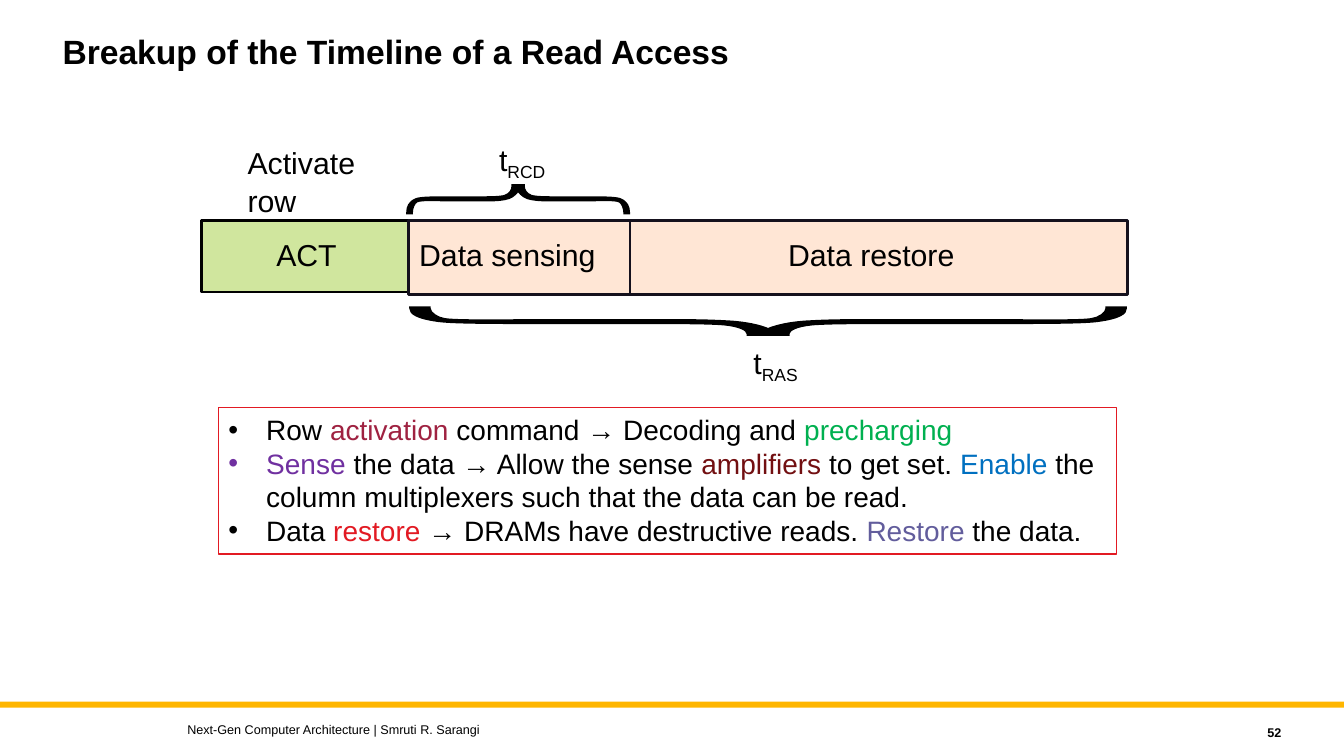
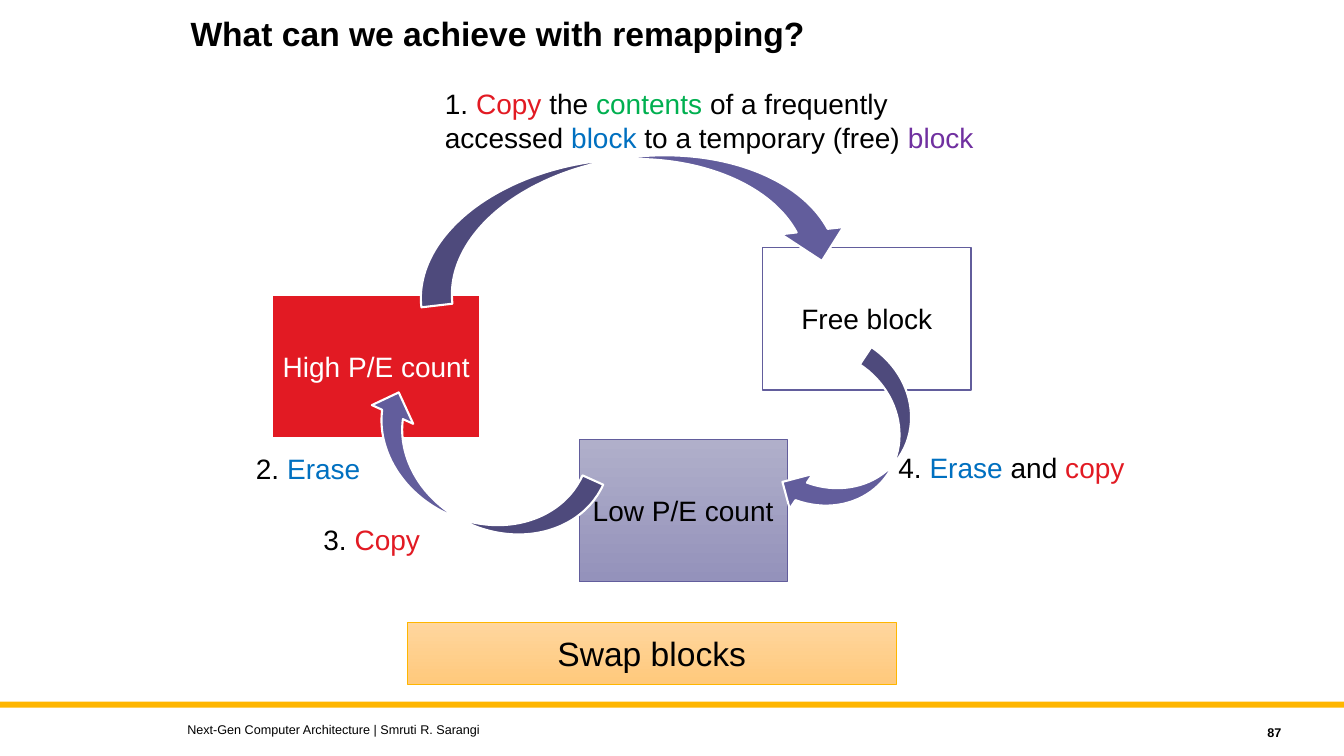
from lxml import etree
from pptx import Presentation, util as u
from pptx.dml.color import RGBColor
from pptx.enum import shapes, text
from pptx.oxml.ns import qn

UNIT = u.Inches(0.1)
COLUMNS, ROWS = 133.33, 75
FONT = "Arial"
BLACK, WHITE, GOLD, RED = "000000", "FFFFFF", "FFB600", "E21A23"
GREEN, BLUE, PURPLE, VIOLET = "00B050", "0070C0", "7030A0", "625D9C"
CRIMSON, MAROON = "9F2241", "720F11"
PEACH, LIME, INK = "FFE6D5", "D0E69E", "15111D"
FOOTER = "Next-Gen Computer Architecture | Smruti R. Sarangi"
LABEL_SIZE, BODY_SIZE = 21.6, 20

HALF_BRACE = [
    [(.5, 1)], [(.47, 1)], [(.47, .93)],
    [(.47, .83), (.46, .7), (.44, .65)],
    [(.42, .6), (.37, .6), (.32, .6)],
    [(.2, .6)],
    [(.12, .6), (.06, .6), (.04, .53)],
    [(.01, .43), (0, .27), (0, .07)],
    [(0, 0)], [(.03, 0)], [(.03, .07)],
    [(.03, .2), (.04, .37), (.05, .4)],
    [(.07, .47), (.15, .43), (.2, .43)],
    [(.33, .43)],
    [(.38, .43), (.41, .43), (.44, .47)],
    [(.47, .5), (.49, .63), (.5, .73)],
]


def grid(*cells):
    return [int(cell * UNIT) for cell in cells]


def rgb(color):
    return RGBColor.from_string(color)


def paint(shape, fill, line=None, weight=1):
    shape.shadow.inherit = False
    if isinstance(fill, tuple):
        shape.fill.gradient()
        shape.fill.gradient_angle = 270
        for stop, color in zip(shape.fill.gradient_stops, fill):
            stop.color.rgb = rgb(color)
    else:
        shape.fill.solid()
        shape.fill.fore_color.rgb = rgb(fill)
    if line:
        shape.line.color.rgb = rgb(line)
        shape.line.width = u.Pt(weight)
    else:
        shape.line.fill.background()


def add_runs(paragraph, runs, size, bold=False):
    for words, color, *baseline in runs:
        if words == "\n":
            paragraph.add_line_break()
            continue
        run = paragraph.add_run()
        run.text = words
        run.font.name = FONT
        run.font.size = u.Pt(size)
        run.font.bold = bold
        run.font.color.rgb = rgb(color)
        if baseline:
            run._r.get_or_add_rPr().set("baseline", str(baseline[0] * 1000))


def add_bullet(paragraph):
    props = paragraph._p.get_or_add_pPr()
    indent = u.Pt(27)
    props.set("marL", str(indent))
    props.set("indent", str(-indent))
    etree.SubElement(props, qn("a:buFont")).set("typeface", FONT)
    etree.SubElement(props, qn("a:buChar")).set("char", "•")


def write(shape, paragraphs, size, bold=False, align=text.PP_ALIGN.LEFT,
          anchor=text.MSO_ANCHOR.TOP, wrap=False, bullets=False, spacing=None):
    frame = shape.text_frame
    frame.word_wrap = wrap
    frame.vertical_anchor = anchor
    for index, runs in enumerate(paragraphs):
        paragraph = frame.add_paragraph() if index else frame.paragraphs[0]
        paragraph.alignment = align
        if spacing:
            paragraph.line_spacing = spacing
        if bullets:
            add_bullet(paragraph)
        add_runs(paragraph, runs, size, bold)


def add_label(slide, area, runs, size, **style):
    write(slide.shapes.add_textbox(*grid(*area)), [runs], size, **style)


def add_box(slide, area, fill, line=None, weight=1):
    box = slide.shapes.add_shape(shapes.MSO_SHAPE.RECTANGLE, *grid(*area))
    paint(box, fill, line, weight)
    return box


def add_block(slide, area, words, size, fill, line, weight, color=BLACK):
    write(add_box(slide, area, fill, line, weight), [[(words, color)]], size,
          align=text.PP_ALIGN.CENTER, anchor=text.MSO_ANCHOR.MIDDLE)


def add_swoosh(slide, area, rotation, flipped):
    arrow = slide.shapes.add_shape(shapes.MSO_SHAPE.CURVED_LEFT_ARROW, *grid(*area))
    paint(arrow, VIOLET, WHITE, 1.5)
    arrow.rotation = rotation
    if flipped:
        frame = arrow._element.spPr.find(qn("a:xfrm"))
        frame.set("flipH", "1")
        frame.set("flipV", "1")


def mirrored(segments):
    back = [segment[-2::-1] + [before[-1]] for before, segment in zip(segments, segments[1:])]
    return [[(1 - x, y) for x, y in segment] for segment in reversed(back)]


def add_brace(slide, area, points_up):
    left, top, width, height = grid(*area)
    segments = [[(round(x * width), round((1 - y if points_up else y) * height))
                 for x, y in segment] for segment in HALF_BRACE + mirrored(HALF_BRACE)]
    corners = [(left + segment[-1][0], top + segment[-1][1]) for segment in segments]
    builder = slide.shapes.build_freeform(*corners[0], scale=1.0)
    builder.add_line_segments(corners[1:], close=True)
    brace = builder.convert_to_shape()
    paint(brace, BLACK)
    outline = next(brace._element.iter(qn("a:path")))
    for command, segment in zip(list(outline), segments):
        if len(segment) == 3:
            curve = etree.Element(qn("a:cubicBezTo"))
            for x, y in segment:
                etree.SubElement(curve, qn("a:pt"), x=str(x), y=str(y))
            outline.replace(command, curve)


def add_shared_band(deck):
    layout = deck.slide_layouts[6]
    slide = deck.slides.add_slide(layout)
    band = add_box(slide, (0, 69.6, COLUMNS, 0.6), GOLD)
    layout.shapes._spTree.append(band._element)
    return slide


def add_frame(slide, title, title_area, number):
    middle = text.MSO_ANCHOR.MIDDLE
    add_label(slide, title_area, [(title, BLACK)], 24, bold=True, wrap=True, spacing=0.9)
    add_label(slide, (17.6, 71.15, 80, 2.5), [(FOOTER, BLACK)], 9, anchor=middle, wrap=True)
    add_label(slide, (114.1, 71.4, 14, 2.5), [(number, BLACK)], 9, bold=True,
              align=text.PP_ALIGN.RIGHT, anchor=middle, wrap=True)


def build_timeline(slide):
    add_frame(slide, "Breakup of the Timeline of a Read Access", (5.22, 3, 100, 9), "52")
    bar_top = 21.87
    start, sensing, restore, end = 20, 40.52, 62.5, 111.87
    for left, right, height, fill, line in (
            (start, sensing, 7.1, LIME, BLACK),
            (sensing, restore, 7.35, PEACH, INK),
            (restore, end, 7.35, PEACH, INK)):
        add_box(slide, (left, bar_top, right - left, height), fill, line, 1.8)
    add_brace(slide, (40.3, 18.28, 22.2, 3), points_up=True)
    add_brace(slide, (40.6, 30.38, 71.2, 2.95), points_up=False)

    for left, top, width, words in (
            (26.42, 22.95, 8.9, "ACT"), (40.6, 22.95, 19.7, "Data sensing"),
            (77.2, 22.95, 18.7, "Data restore"),
            (23.58, 13.8, 12.8, "Activate"), (23.58, 17.6, 6.9, "row")):
        add_label(slide, (left, top, width, 4.6), [(words, BLACK)], LABEL_SIZE)
    for left, top, subscript in ((48.52, 13.5, "RCD"), (73.75, 33.67, "RAS")):
        add_label(slide, (left, top, 7.2, 4.6),
                  [("t", BLACK), (subscript, BLACK, -24)], LABEL_SIZE)

    steps = [
        [("Row ", BLACK), ("activation", CRIMSON),
         (" command → Decoding and ", BLACK), ("precharging", GREEN)],
        [("Sense", PURPLE), (" the data → Allow the sense ", BLACK), ("amplifiers", MAROON),
         (" to get set. ", BLACK), ("Enable", BLUE),
         (" the column multiplexers such that the data can be read.", BLACK)],
        [("Data ", BLACK), ("restore", RED), (" → DRAMs have destructive reads. ", BLACK),
         ("Restore", VIOLET), (" the data.", BLACK)],
    ]
    write(add_box(slide, (21.67, 40.45, 89.1, 14.5), WHITE, RED), steps, BODY_SIZE,
          wrap=True, bullets=True)


def build_remapping(slide):
    add_frame(slide, "What can we achieve with remapping?", (17.92, 1.25, 75, 9), "87")
    add_block(slide, (40.4, 61.75, 48.5, 6.1), "Swap blocks", 24,
              ("FFD69E", "FFC97C"), GOLD, 0.5)
    for left, top, words, fill, line, weight, color in (
            (27, 29.27, "High P/E count", RED, WHITE, 1.5, WHITE),
            (75.67, 24.55, "Free block", WHITE, VIOLET, 1, BLACK),
            (57.45, 43.57, "Low P/E count", ("B0AFCA", "9492BB"), VIOLET, 0.5, BLACK)):
        add_block(slide, (left, top, 20.65, 14.15), words, BODY_SIZE, fill, line, weight, color)

    for area, rotation, flipped in (
            ((56.3, 0.3, 12.4, 43.1), 263.4, False),
            ((42.33, 34.9, 9, 24.5), 294.3, True),
            ((80.78, 35.22, 8.3, 18.1), 213.4, True)):
        add_swoosh(slide, area, rotation, flipped)

    for area, runs in (
            ((43.15, 8.1, 54.8, 7.7),
             [("1. ", BLACK), ("Copy", RED), (" the ", BLACK), ("contents", GREEN),
              (" of a frequently", BLACK), ("\n", BLACK), ("accessed ", BLACK),
              ("block", BLUE), (" to a temporary (free) ", BLACK), ("block", PURPLE)]),
            ((24.4, 44.3, 12.5, 4.4), [("2. ", BLACK), ("Erase", BLUE)]),
            ((31.1, 51.3, 11.7, 4.4), [("3. ", BLACK), ("Copy", RED)]),
            ((88.14, 44.2, 24.6, 4.4),
             [("4. ", BLACK), ("Erase", BLUE), (" and ", BLACK), ("copy", RED)])):
        add_label(slide, area, runs, BODY_SIZE)


def main():
    deck = Presentation()
    deck.slide_width, deck.slide_height = grid(COLUMNS, ROWS)
    build_timeline(add_shared_band(deck))
    build_remapping(deck.slides.add_slide(deck.slide_layouts[6]))
    deck.save("out.pptx")


if __name__ == "__main__":
    main()
